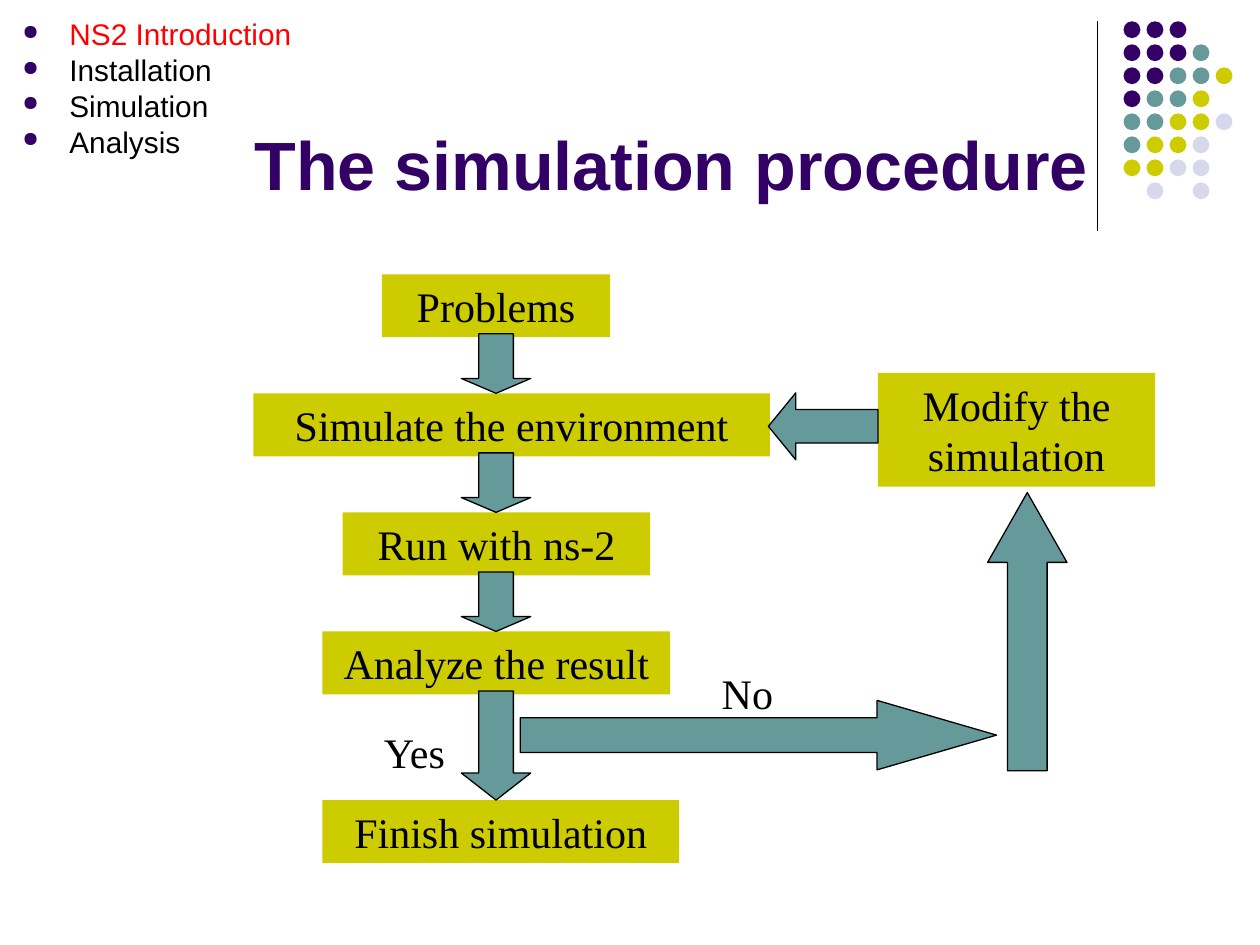
from lxml import etree
from pptx import Presentation
from pptx.dml.color import RGBColor
from pptx.enum.shapes import MSO_CONNECTOR, MSO_SHAPE
from pptx.enum.text import MSO_ANCHOR, PP_ALIGN
from pptx.oxml.ns import qn
from pptx.util import Cm, Pt

RECT, OVAL = MSO_SHAPE.RECTANGLE, MSO_SHAPE.OVAL
DOWN, UP = MSO_SHAPE.DOWN_ARROW, MSO_SHAPE.UP_ARROW
LEFT, RIGHT = MSO_SHAPE.LEFT_ARROW, MSO_SHAPE.RIGHT_ARROW
STRAIGHT = MSO_CONNECTOR.STRAIGHT
TOP, MIDDLE = MSO_ANCHOR.TOP, MSO_ANCHOR.MIDDLE
ALIGN_LEFT, CENTER = PP_ALIGN.LEFT, PP_ALIGN.CENTER

COLORS = {"purple": "330066", "teal": "669999", "olive": "CCCC00",
          "pale": "D8D8EC", "black": "000000", "red": "FF0000"}
SERIF, SANS = "Times New Roman", "Arial"

TITLE = "The simulation procedure"
AGENDA = ["NS2 Introduction", "Installation", "Simulation", "Analysis"]
CURRENT = "NS2 Introduction"

# text, left, top, width in cm
ROW_TOP, ROW_STEP = 5.53, 2.4
STEPS = [
    ("Problems", 7.7, ROW_TOP, 4.6),
    ("Simulate the environment", 5.11, ROW_TOP + ROW_STEP, 10.41),
    ("Run with ns-2", 6.91, ROW_TOP + 2 * ROW_STEP, 6.2),
    ("Analyze the result", 6.5, ROW_TOP + 3 * ROW_STEP, 7.01),
    ("Finish simulation", 6.5, 16.13, 7.19),
]
STEP_HEIGHT = 1.27
DOWN_LEFT, DOWN_WIDTH, DOWN_OFFSET = 9.3, 1.4, 1.2
DOWN_HEADS = [0.25, 0.25, 0.25, 0.39]
MODIFY = ("Modify the simulation", (17.7, 7.52, 5.59, 2.29))
# shape, box in cm, head length ratio
LOOP_ARROWS = [
    (RIGHT, (10.49, 14.12, 9.6, 1.4), 1.72),
    (UP, (19.91, 9.93, 1.6, 5.61), 0.88),
    (LEFT, (15.49, 7.92, 2.21, 1.35), 0.41),
]
ANSWERS = [("Yes", (7.49, 14.53, 2.01, 1.27)),
           ("No", (14.3, 13.34, 2.01, 1.27))]

DOT_ROWS = ["PPP", "PPPT", "PPTTO", "PTTO", "TTOOL", "TOOL", "OOLL", " L L"]
DOT_COLORS = {"P": "purple", "T": "teal", "O": "olive", "L": "pale"}
DOT_LEFT, DOT_TOP, DOT_STEP, DOT_SIZE = 22.65, 0.43, 0.464, 0.34


def rgb(name):
    return RGBColor.from_string(COLORS[name])


def cm(box):
    return [Cm(v) for v in box]


def add_shape(shapes, kind, box, fill, outlined=False):
    s = shapes.add_shape(kind, *cm(box))
    s.shadow.inherit = False
    s.fill.solid()
    s.fill.fore_color.rgb = rgb(fill)
    if outlined:
        s.line.color.rgb = rgb("black")
        s.line.width = Pt(0.75)
    else:
        s.line.fill.background()
    return s


def add_arrow(shapes, kind, box, head):
    s = add_shape(shapes, kind, box, "teal", outlined=True)
    s.adjustments[0] = 0.5
    s.adjustments[1] = head


def add_bullet(p):
    pPr = p._p.get_or_add_pPr()
    pPr.set("marL", str(Cm(0.95)))
    pPr.set("indent", str(-Cm(0.95)))
    color = etree.SubElement(pPr, qn("a:buClr"))
    etree.SubElement(color, qn("a:srgbClr"), val=COLORS["purple"])
    etree.SubElement(pPr, qn("a:buSzPct"), val="70000")
    etree.SubElement(pPr, qn("a:buChar"), char="●")


def write(s, *lines, size=24, font=SERIF, color="black", bold=False,
          align=ALIGN_LEFT, anchor=TOP, bullets=False, highlight=None):
    tf = s.text_frame
    tf.word_wrap = True
    tf.vertical_anchor = anchor
    for i, line in enumerate(lines):
        p = tf.add_paragraph() if i else tf.paragraphs[0]
        p.alignment = align
        if bullets:
            p.line_spacing = 0.8
            if i:
                p.space_before = Pt(4.2)
            add_bullet(p)
        r = p.add_run()
        r.text = line
        r.font.size, r.font.name, r.font.bold = Pt(size), font, bold
        r.font.color.rgb = rgb("red" if line == highlight else color)


def add_decoration(shapes):
    rule = shapes.add_connector(STRAIGHT, *cm((22.12, 0.43, 22.12, 4.65)))
    rule.line.color.rgb = rgb("black")
    rule.line.width = Pt(0.75)
    etree.SubElement(rule._element.spPr, qn("a:effectLst"))
    dots = shapes.add_group_shape().shapes
    for row, codes in enumerate(DOT_ROWS):
        for col, code in enumerate(codes):
            if code in DOT_COLORS:
                box = (DOT_LEFT + col * DOT_STEP, DOT_TOP + row * DOT_STEP,
                       DOT_SIZE, DOT_SIZE)
                add_shape(dots, OVAL, box, DOT_COLORS[code])


def add_flow(shapes):
    for text, left, top, width in STEPS:
        s = add_shape(shapes, RECT, (left, top, width, STEP_HEIGHT), "olive")
        write(s, text, align=CENTER)
    for step, following, head in zip(STEPS, STEPS[1:], DOWN_HEADS):
        top = step[2] + DOWN_OFFSET
        box = (DOWN_LEFT, top, DOWN_WIDTH, following[2] - top)
        add_arrow(shapes, DOWN, box, head)
    text, box = MODIFY
    write(add_shape(shapes, RECT, box, "olive"), text, align=CENTER)
    for arrow in LOOP_ARROWS:
        add_arrow(shapes, *arrow)
    for text, box in ANSWERS:
        write(shapes.add_textbox(*cm(box)), text)


def main():
    prs = Presentation()
    prs.slide_width, prs.slide_height = Cm(25.4), Cm(19.05)
    shapes = prs.slides.add_slide(prs.slide_layouts[6]).shapes
    add_decoration(shapes)
    write(shapes.add_textbox(*cm((4.88, 1.7, 17.58, 3.18))), TITLE,
          size=39, font=SANS, color="purple", bold=True, anchor=MIDDLE)
    add_flow(shapes)
    write(shapes.add_textbox(*cm((0.2, 0.33, 7.42, 3.48))), *AGENDA,
          size=17, font=SANS, bullets=True, highlight=CURRENT)
    prs.save("out.pptx")


if __name__ == "__main__":
    main()
